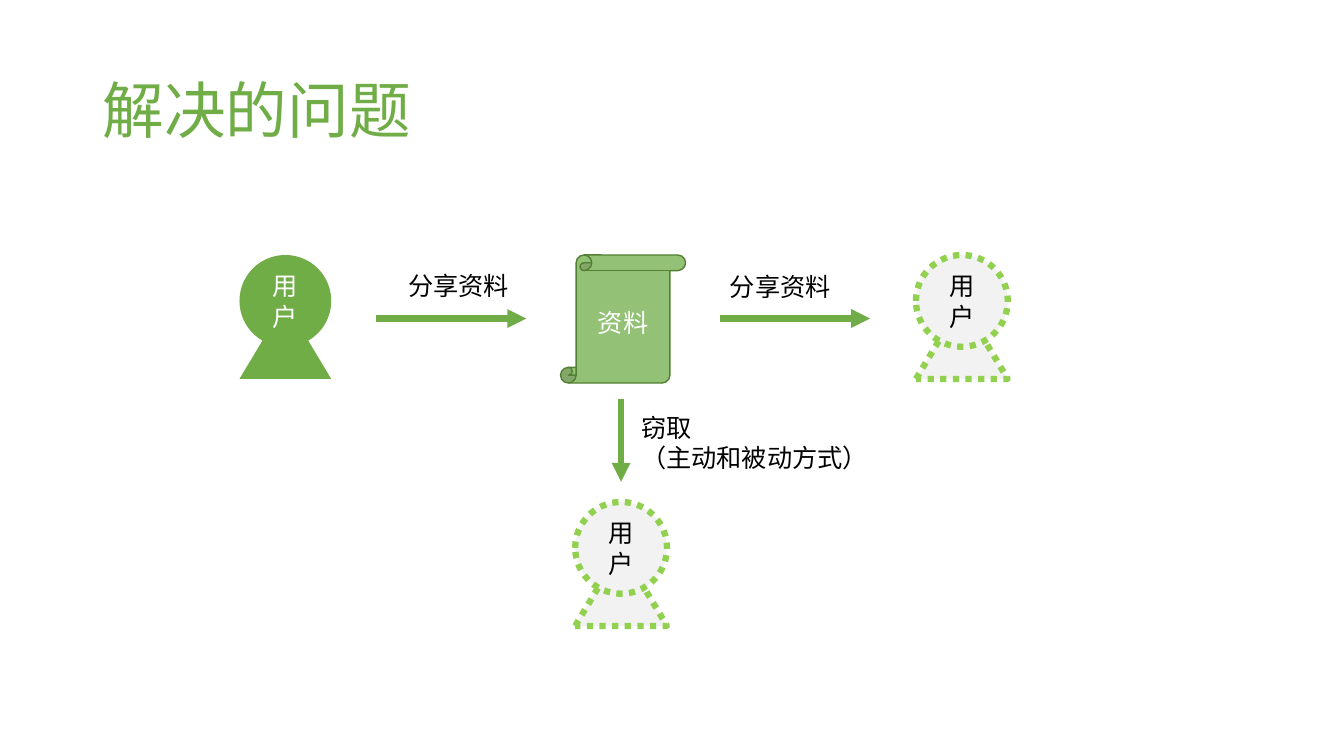
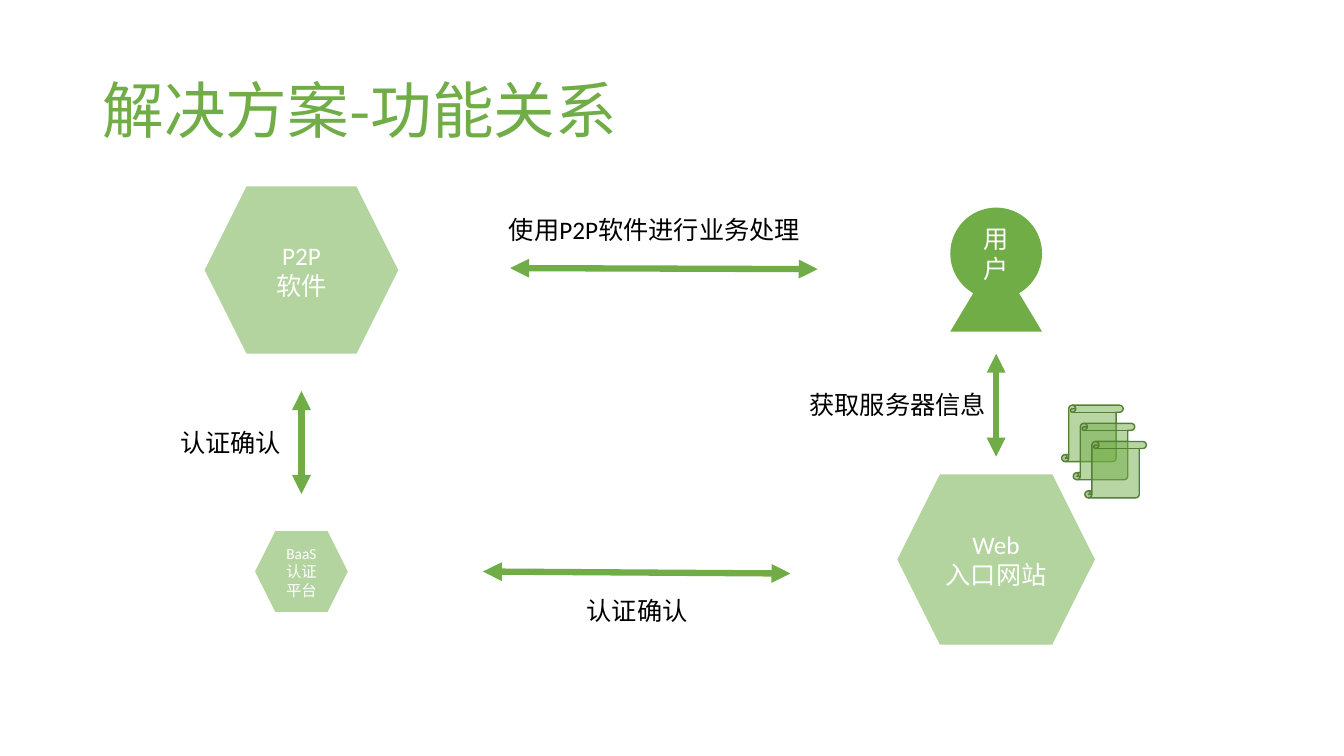
from pptx import Presentation
from pptx.dml.color import RGBColor
from pptx.enum.dml import MSO_LINE
from pptx.enum.lang import MSO_LANGUAGE_ID as Lang
from pptx.enum.shapes import MSO_CONNECTOR, MSO_SHAPE as Shape
from pptx.enum.text import MSO_ANCHOR as Anchor, PP_ALIGN as Align
from pptx.oxml.ns import qn
from pptx.util import Inches, Pt
from lxml.etree import SubElement

GREEN = RGBColor(0x70, 0xAD, 0x47)
DARK_GREEN = RGBColor(0x53, 0x80, 0x35)
LIME = RGBColor(0x92, 0xD0, 0x50)
PALE = RGBColor(0xF2, 0xF2, 0xF2)
WHITE = RGBColor(0xFF, 0xFF, 0xFF)
BLACK = RGBColor(0, 0, 0)
TITLE_FONT, BODY_FONT = "Noto Sans CJK TC", "Calibri"

HEAD = 0.91            # diameter of a user's head
BODY_TOP, BODY_HEIGHT = 0.47, 0.76
STROKE = 4.5
LABEL_HEIGHT = 0.4

# Positions are inches. Users: centre x, top, dotted outline.
# Arrows: start, end, heads at both ends. Labels: left, top, width, text.
# Scrolls: left, top, width, height, opacity, text.
# Hexagons: centre x, centre y, width, height, size, text.
SLIDES = [
    dict(
        title="解决的问题",
        hexagons=[],
        users=[(2.83, 2.53, False), (9.54, 2.53, True), (6.16, 4.98, True)],
        scrolls=[(5.56, 2.53, 1.24, 1.27, 75, "资料")],
        arrows=[((6.16, 3.96), (6.16, 4.78), False),
                ((3.73, 3.16), (5.22, 3.16), False),
                ((7.14, 3.16), (8.63, 3.16), False)],
        labels=[(7.14, 2.64, 1.27, "分享资料"),
                (3.95, 2.63, 1.27, "分享资料"),
                (6.26, 4.04, 2.55, "窃取\n（主动和被动方式）")],
    ),
    dict(
        title="解决方案-功能关系",
        hexagons=[(2.99, 2.68, 1.92, 1.66, 18, "P2P\n软件"),
                  (2.99, 5.67, 0.92, 0.8, 11, "BaaS\n认证平台"),
                  (9.88, 5.55, 1.96, 1.69, 18, "Web\n入口网站")],
        users=[(9.88, 2.06, False)],
        scrolls=[(10.53 + 0.115 * step, 4.02 + 0.18 * step, 0.61, 0.56, 49, "")
                 for step in range(3)],
        arrows=[((9.88, 3.51), (9.88, 4.53), True),
                ((5.06, 2.66), (8.11, 2.67), True),
                ((2.99, 3.88), (2.99, 4.9), True),
                ((4.79, 5.67), (7.84, 5.69), True)],
        labels=[(7.93, 3.81, 2.08, "获取服务器信息"),
                (4.95, 2.08, 3.27, "使用P2P软件进行业务处理"),
                (1.69, 4.19, 1.44, "认证确认"),
                (5.72, 5.86, 1.44, "认证确认")],
    ),
]


def write(frame, text, size=18, color=BLACK, font=BODY_FONT, align=Align.LEFT,
          anchor=Anchor.TOP, spacing=None, east_asian=None):
    frame.word_wrap = True
    frame.vertical_anchor = anchor
    for index, line in enumerate(text.split("\n")):
        paragraph = frame.paragraphs[0] if index == 0 else frame.add_paragraph()
        paragraph.alignment = align
        paragraph.line_spacing = spacing
        run = paragraph.add_run()
        run.text = line
        run.font.size, run.font.name = Pt(size), font
        run.font.color.rgb = color
        run.font.language_id = Lang.SIMPLIFIED_CHINESE
        if east_asian:
            SubElement(run.font._element, qn("a:ea"), typeface=east_asian)


def add_label(slide, box, text, **text_format):
    label = slide.shapes.add_textbox(*map(Inches, box))
    write(label.text_frame, text, **text_format)


def add_figure(shapes, kind, box, fill, opacity=100, outline=None, weight=1,
               dotted=False, text="", size=18, color=WHITE):
    figure = shapes.add_shape(kind, *map(Inches, box))
    figure.shadow.inherit = False
    figure.fill.solid()
    figure.fill.fore_color.rgb = fill
    if opacity < 100:
        tint = figure.fill._xPr.find(qn("a:solidFill"))[0]
        SubElement(tint, qn("a:alpha"), val=str(opacity * 1000))
    if outline is None:
        figure.line.fill.background()
    else:
        figure.line.color.rgb = outline
        figure.line.width = Pt(weight)
        if dotted:
            figure.line.dash_style = MSO_LINE.ROUND_DOT
    if text:
        write(figure.text_frame, text, size=size, color=color,
              align=Align.CENTER, anchor=Anchor.MIDDLE)


def add_user(slide, center, top, dotted):
    """Group a triangular body with a round, captioned head."""
    parts = slide.shapes.add_group_shape().shapes
    left = center - HEAD / 2
    style = dict(fill=PALE if dotted else GREEN, outline=LIME if dotted else None,
                 weight=STROKE, dotted=dotted)
    add_figure(parts, Shape.ISOSCELES_TRIANGLE,
               (left, top + BODY_TOP, HEAD, BODY_HEIGHT), **style)
    add_figure(parts, Shape.OVAL, (left, top, HEAD, HEAD), text="用户",
               color=BLACK if dotted else WHITE, **style)


def add_arrow(slide, start, end, both_ends):
    arrow = slide.shapes.add_connector(MSO_CONNECTOR.STRAIGHT,
                                       *map(Inches, start + end))
    arrow.line.color.rgb = GREEN
    arrow.line.width = Pt(STROKE)
    line = arrow.line._get_or_add_ln()
    for tip in ("a:headEnd", "a:tailEnd") if both_ends else ("a:tailEnd",):
        SubElement(line, qn(tip), type="triangle")
    SubElement(arrow._element.spPr, qn("a:effectLst"))


def build_slide(deck, content):
    slide = deck.slides.add_slide(deck.slide_layouts[6])
    add_label(slide, (0.92, 0.4, 11.5, 1.45), content["title"], size=44,
              color=GREEN, font=TITLE_FONT, east_asian=TITLE_FONT,
              anchor=Anchor.MIDDLE, spacing=0.9)
    for x, y, width, height, size, text in content["hexagons"]:
        add_figure(slide.shapes, Shape.HEXAGON,
                   (x - width / 2, y - height / 2, width, height),
                   GREEN, opacity=52, text=text, size=size)
    for user in content["users"]:
        add_user(slide, *user)
    for *box, opacity, text in content["scrolls"]:
        add_figure(slide.shapes, Shape.VERTICAL_SCROLL, box, GREEN,
                   opacity=opacity, outline=DARK_GREEN, text=text)
    for arrow in content["arrows"]:
        add_arrow(slide, *arrow)
    for left, top, width, text in content["labels"]:
        add_label(slide, (left, top, width, LABEL_HEIGHT), text)


def main():
    deck = Presentation()
    deck.slide_width, deck.slide_height = Inches(13.33), Inches(7.5)
    for content in SLIDES:
        build_slide(deck, content)
    deck.save("out.pptx")


if __name__ == "__main__":
    main()
